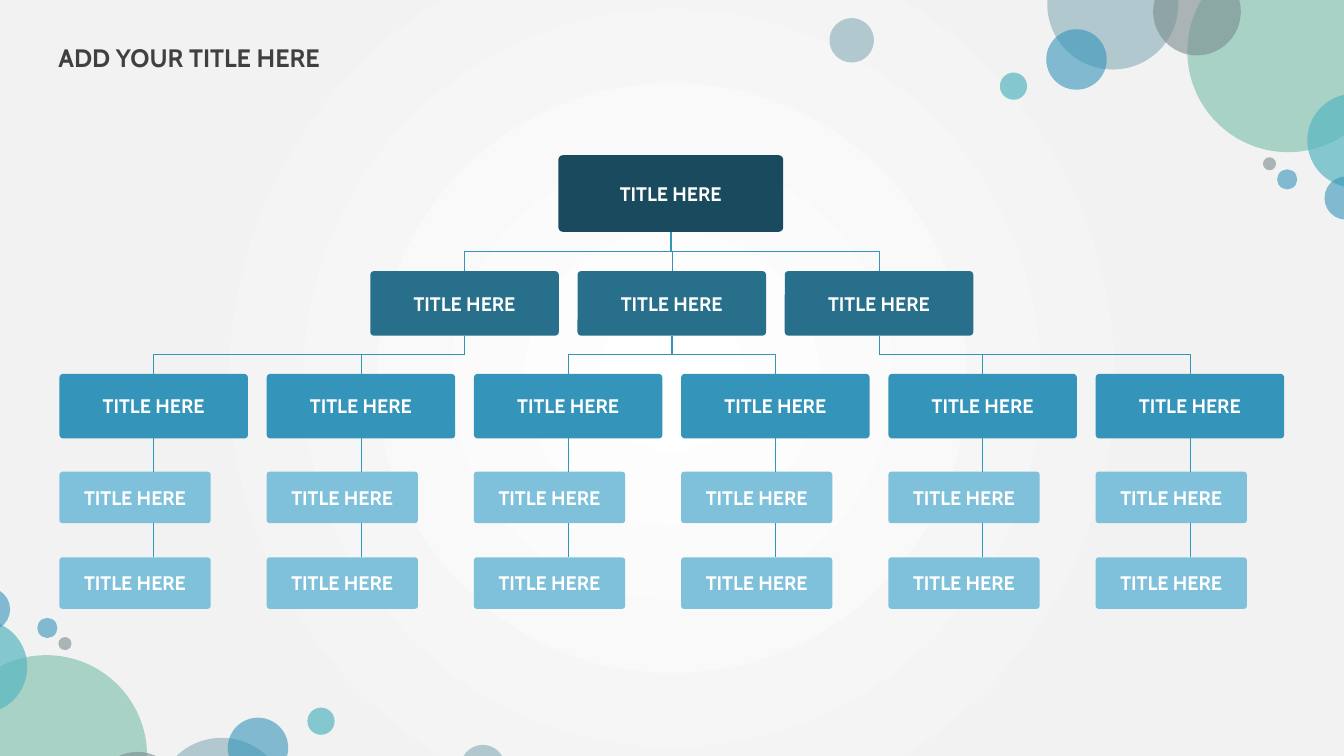
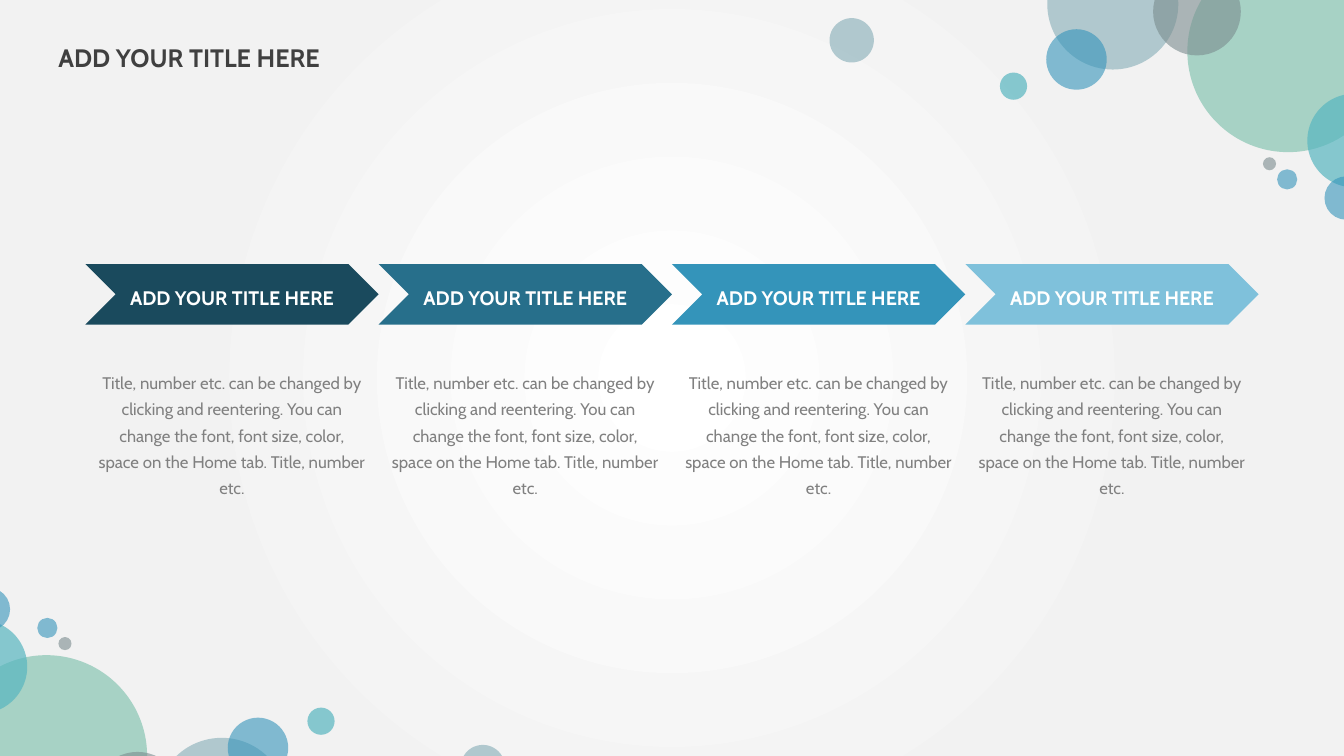
import pptx
import pptx.util
import pptx.dml.color
import pptx.enum.shapes
import pptx.enum.text
import pptx.oxml
import pptx.oxml.ns
from lxml import etree

SHAPE = pptx.enum.shapes.MSO_SHAPE
CONNECTOR = pptx.enum.shapes.MSO_CONNECTOR
ALIGN = pptx.enum.text.PP_ALIGN
ANCHOR = pptx.enum.text.MSO_ANCHOR
qn = pptx.oxml.ns.qn

PX_PER_INCH = 100
PAGE_WIDTH, PAGE_HEIGHT = 4000 / 3, 750
FONT = "Cabin"
WHITE, DARK, GRAY = "FFFFFF", "404040", "808080"
NAVY, TEAL, BLUE, SKY = SHADES = ["1A4A5D", "276F8B", "3494BA", "7FC1DB"]
MIST, GREEN, SLATE, AQUA = "84ACB6", "75BDA7", "7A8C8E", "58B6C0"
BACKGROUND_STOPS = [(0, WHITE), (67, "F2F2F2"), (100, "F2F2F2")]

BUBBLES = [
    (1039, -61, 130, MIST, 60),
    (1178, -49, 200, GREEN, 60),
    (1144, -32, 87, SLATE, 60),
    (1038, 29, 60, BLUE, 60),
    (1297, 93, 93, AQUA, 70),
    (992, 72, 27, AQUA, 70),
    (1314, 175, 43, BLUE, 60),
    (1267, 168, 20, BLUE, 60),
    (1253, 156, 13, SLATE, 60),
    (823, 18, 44, MIST, 60),
]
BUBBLE_TURN_X, BUBBLE_TURN_Y = 1324, 801

TITLE = "ADD YOUR TITLE HERE"
ORG_LABEL = "TITLE HERE"
ORG_ROOT = (554, 154, 223, 76)
ORG_TEAMS = [(0, 1), (2, 3), (4, 5)]
ORG_LEFT, ORG_RIGHT = 59, 1087
ORG_COLUMNS = 6
ORG_BOX = (187, 64)
ORG_LEAF = (150, 51)
TEAM_TOP, UNIT_TOP, LEAF_TOPS = 269, 371, [468, 553]

STEPS = [
    (TITLE, "Title, number etc. can be changed by clicking and reentering. "
            "You can change the font, font size, color, space on the Home tab. "
            "Title, number etc.", shade)
    for shade in SHADES
]
STEP_TOP, STEP_WIDTH, STEP_HEIGHT = 262, 291, 60
NOTE_TOP, NOTE_WIDTH, NOTE_HEIGHT = 359, 286, 121


def px(length):
    return pptx.util.Emu(round(length * 914400 / PX_PER_INCH))


def color(value):
    return pptx.dml.color.RGBColor.from_string(value)


def set_background(master):
    master.background.fill.gradient()
    old = master.element.find(".//" + qn("p:bgPr")).find(qn("a:gradFill"))
    stops = "".join(
        f'<a:gs pos="{position * 1000}"><a:srgbClr val="{value}"/></a:gs>'
        for position, value in BACKGROUND_STOPS
    )
    new = pptx.oxml.parse_xml(
        f'<a:gradFill {pptx.oxml.ns.nsdecls("a")} rotWithShape="1"><a:gsLst>{stops}</a:gsLst>'
        '<a:path path="circle"><a:fillToRect l="50000" t="50000" r="50000" b="50000"/></a:path>'
        '</a:gradFill>'
    )
    old.getparent().replace(old, new)


def add_shape(page, kind, frame, fill):
    shape = page.shapes.add_shape(kind, *map(px, frame))
    shape.shadow.inherit = False
    shape.fill.solid()
    shape.fill.fore_color.rgb = color(fill)
    shape.line.fill.background()
    return shape


def write(shape, text, size, ink, bold=False, align=ALIGN.CENTER, spacing=None, before=None):
    shape.text_frame.word_wrap = True
    para = shape.text_frame.paragraphs[0]
    para.alignment = align
    para.line_spacing = spacing
    if before:
        para.space_before = pptx.util.Pt(before)
    span = para.add_run()
    span.text = text
    span.font.name = FONT
    span.font.size = pptx.util.Pt(size)
    span.font.bold = bold
    span.font.color.rgb = color(ink)


def add_text(page, frame, *style, **options):
    box = page.shapes.add_textbox(*map(px, frame))
    box.text_frame.vertical_anchor = ANCHOR.TOP
    write(box, *style, spacing=1.3, before=10, **options)


def add_bubble(page, left, top, size, fill, alpha):
    bubble = add_shape(page, SHAPE.OVAL, (left, top, size, size), fill)
    tint = bubble.fill._xPr.find(".//" + qn("a:srgbClr"))
    etree.SubElement(tint, qn("a:alpha")).set("val", str(alpha * 1000))


def add_page(deck):
    page = deck.slides.add_slide(deck.slide_layouts[6])
    for bubble in BUBBLES:
        add_bubble(page, *bubble)
    for left, top, size, fill, alpha in BUBBLES:
        add_bubble(page, BUBBLE_TURN_X - left - size, BUBBLE_TURN_Y - top - size, size, fill, alpha)
    add_text(page, (48, 28, 372, 44), TITLE, 18, DARK, bold=True, align=ALIGN.LEFT)
    return page


def add_line(page, kind, start, end):
    line = page.shapes.add_connector(kind, *map(px, (*start, *end)))
    line.line.color.rgb = color(BLUE)
    line.line.width = pptx.util.Pt(0.5)
    etree.SubElement(line.element.spPr, qn("a:effectLst"))
    return line


def add_branch(page, parent, child):
    (x1, y1), (x2, y2) = parent, child
    middle_x, middle_y = (x1 + x2) / 2, (y1 + y2) / 2
    half_width, half_height = (y2 - y1) / 2, abs(x2 - x1) / 2
    side = 1 if x2 > x1 else -1
    branch = add_line(
        page, CONNECTOR.ELBOW,
        (middle_x + side * half_width, middle_y - half_height),
        (middle_x - side * half_width, middle_y + half_height),
    )
    turn = 270 if side > 0 else 90
    branch.element.spPr.find(qn("a:xfrm")).set("rot", str(turn * 60000))


def add_org_box(page, frame, fill):
    box = add_shape(page, SHAPE.ROUNDED_RECTANGLE, frame, fill)
    box.adjustments[0] = 0.057
    write(box, ORG_LABEL, 14, WHITE, bold=True)


def build_org_chart(page):
    width, height = ORG_BOX
    pitch = (ORG_RIGHT - ORG_LEFT) / (ORG_COLUMNS - 1)

    def column_left(index):
        return ORG_LEFT + index * pitch

    def column_middle(index):
        return column_left(index) + width / 2

    left, top, root_width, root_height = ORG_ROOT
    root_foot = (left + root_width / 2, top + root_height)
    add_org_box(page, ORG_ROOT, NAVY)
    for units in ORG_TEAMS:
        team = sum(units) / len(units) + (1 - ORG_TEAMS.index(units))
        add_org_box(page, (column_left(team), TEAM_TOP, width, height), TEAL)
        add_branch(page, root_foot, (column_middle(team), TEAM_TOP))
        for unit in units:
            middle = column_middle(unit)
            add_org_box(page, (column_left(unit), UNIT_TOP, width, height), BLUE)
            add_branch(page, (column_middle(team), TEAM_TOP + height), (middle, UNIT_TOP))
            foot = UNIT_TOP + height
            for leaf_top in LEAF_TOPS:
                add_org_box(page, (column_left(unit), leaf_top, *ORG_LEAF), SKY)
                add_line(page, CONNECTOR.STRAIGHT, (middle, foot), (middle, leaf_top))
                foot = leaf_top + ORG_LEAF[1]


def build_process(page):
    first_left = (PAGE_WIDTH - len(STEPS) * STEP_WIDTH) / 2
    inset = (STEP_WIDTH - NOTE_WIDTH) / 2
    for index, (heading, note, shade) in enumerate(STEPS):
        left = first_left + index * STEP_WIDTH
        arrow = add_shape(page, SHAPE.CHEVRON, (left, STEP_TOP, STEP_WIDTH, STEP_HEIGHT), shade)
        write(arrow, heading, 14, WHITE, bold=True, spacing=1.3)
        add_text(page, (left + inset, NOTE_TOP, NOTE_WIDTH, NOTE_HEIGHT), note, 12, GRAY)


def main():
    deck = pptx.Presentation()
    deck.slide_width, deck.slide_height = px(PAGE_WIDTH), px(PAGE_HEIGHT)
    set_background(deck.slide_master)
    for build in (build_org_chart, build_process):
        build(add_page(deck))
    deck.save("out.pptx")


if __name__ == "__main__":
    main()
